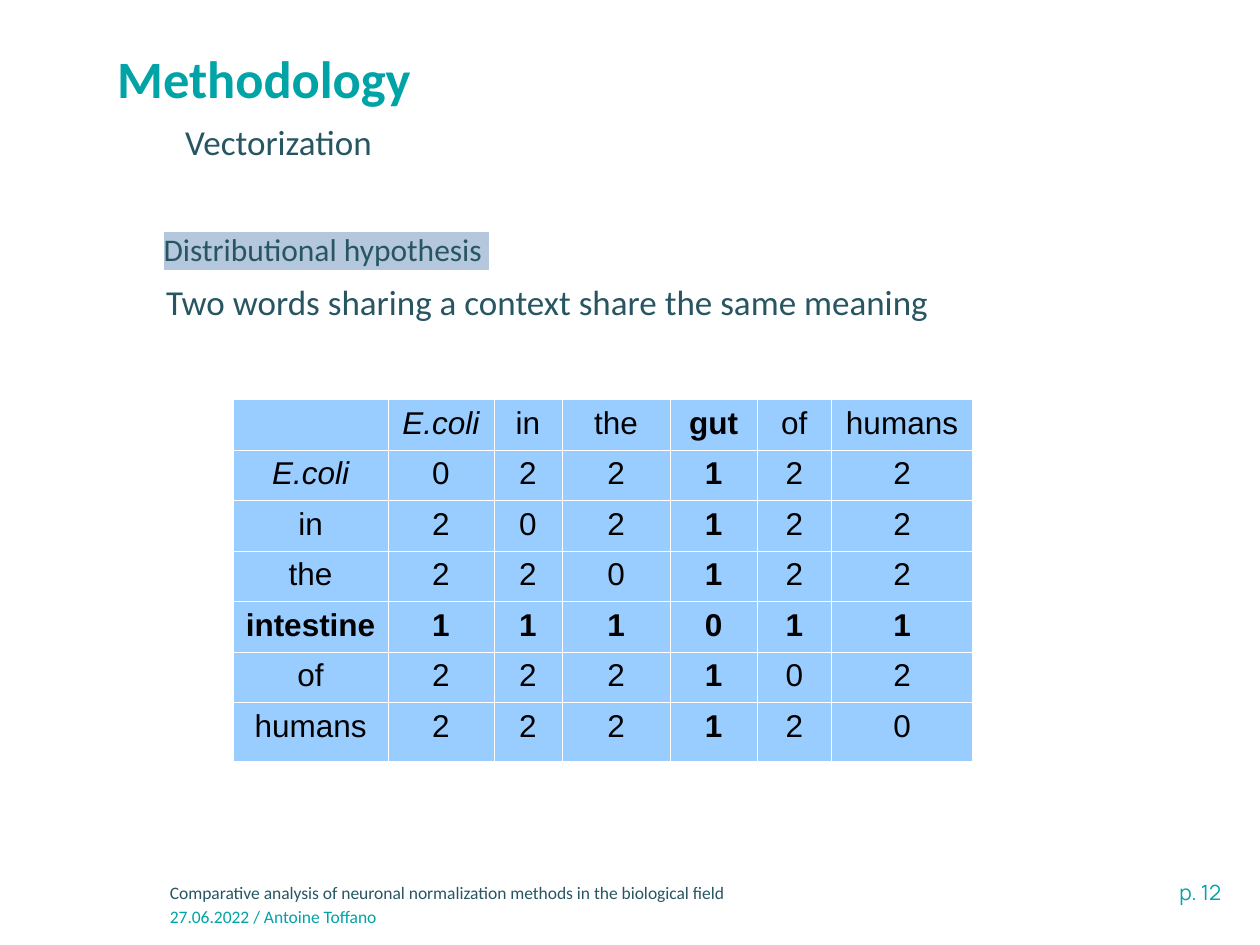
from lxml import etree
from pptx import Presentation
from pptx.dml.color import RGBColor
from pptx.enum.text import MSO_ANCHOR, PP_ALIGN
from pptx.oxml.ns import qn
from pptx.util import Inches, Pt

LEFT, CENTER, RIGHT = PP_ALIGN.LEFT, PP_ALIGN.CENTER, PP_ALIGN.RIGHT
TOP, MIDDLE = MSO_ANCHOR.TOP, MSO_ANCHOR.MIDDLE
COLORS = {"teal": "00A3A6", "slate": "275662", "mark": "B4C7DC",
          "cell": "99CCFF", "grid": "FFFFFF", "ink": "000000"}

WORDS = ["E.coli", "in", "the", "gut", "of", "humans"]
ROW_WORDS = ["intestine" if word == "gut" else word for word in WORDS]
KEY = WORDS.index("gut")
COLS = [1.23, 0.84, 0.54, 0.86, 0.69, 0.59, 1.12]
ROWS = [0.4] * 6 + [0.47]


def style(para, size, color, font="Calibri", bold=False, italic=False, align=LEFT):
    para.alignment = align
    for run in para.runs:
        run.font.size = Pt(size)
        run.font.name = font
        run.font.bold = bold
        run.font.italic = italic
        run.font.color.rgb = RGBColor.from_string(COLORS[color])


def fill_text(shape, text, size, color, anchor=TOP, **look):
    frame = shape.text_frame
    frame.text = text
    frame.word_wrap = True
    frame.vertical_anchor = anchor
    para = frame.paragraphs[0]
    style(para, size, color, **look)
    return para


def place(shape, left, top, width, height):
    shape.left, shape.top = Inches(left), Inches(top)
    shape.width, shape.height = Inches(width), Inches(height)


def add_text(slide, box, text, size, color, **look):
    shape = slide.shapes.add_textbox(*map(Inches, box))
    return fill_text(shape, text, size, color, **look)


def add_color(parent, tag, color):
    node = etree.SubElement(parent, qn(tag))
    etree.SubElement(node, qn("a:srgbClr")).set("val", COLORS[color])
    return node


def highlight(para, color):
    for run in para.runs:
        props = run.font._element
        mark = add_color(props, "a:highlight", color)
        props.find(qn("a:solidFill")).addnext(mark)


def add_heads(slide):
    title, body = slide.placeholders
    place(title, 0.93, 0.16, 8.38, 0.97)
    head = fill_text(title, "Methodology", 30, "teal", anchor=MIDDLE, bold=True)
    head.line_spacing = 0.9
    title.text_frame.margin_left = 0
    place(body, 1.37, 0.94, 7.94, 0.74)
    sub = fill_text(body, "Vectorization", 20, "slate")
    sub.line_spacing = 0.9
    sub.space_before = Pt(10)
    props = sub._p.get_or_add_pPr()
    props.set("marL", "0")
    props.set("indent", "0")
    etree.SubElement(props, qn("a:buNone"))


def paint(cell):
    """Give the cell its fill and a hairline on all four sides."""
    props = cell._tc.get_or_add_tcPr()
    for side in ("a:lnL", "a:lnR", "a:lnT", "a:lnB"):
        line = etree.SubElement(props, qn(side))
        line.set("w", str(Pt(0.06)))
        add_color(line, "a:solidFill", "grid")
    cell.fill.solid()
    cell.fill.fore_color.rgb = RGBColor.from_string(COLORS["cell"])


def count(row, col):
    """Shared contexts of two words: the key word has one, the others two."""
    if row == col:
        return 0
    return 1 if KEY in (row, col) else 2


def add_matrix(slide):
    data = [[""] + WORDS]
    for row, word in enumerate(ROW_WORDS):
        data.append([word] + [str(count(row, col)) for col in range(len(WORDS))])
    box = (1.85, 3.17, sum(COLS), sum(ROWS))
    table = slide.shapes.add_table(len(ROWS), len(COLS), *map(Inches, box)).table
    for col, width in zip(table.columns, COLS):
        col.width = Inches(width)
    for row, height in zip(table.rows, ROWS):
        row.height = Inches(height)
    table.first_row = table.horz_banding = False
    for r, line in enumerate(data):
        for c, text in enumerate(line):
            cell = table.cell(r, c)
            cell.text = text
            style(cell.text_frame.paragraphs[0], 18, "ink", font="Arial",
                  bold=KEY + 1 in (r, c), italic=text == "E.coli", align=CENTER)
            paint(cell)


def add_footer(slide):
    add_text(slide, (7.51, 6.93, 2.28, 0.33), "p. 12", 12, "teal",
             font="Manrope", align=RIGHT)
    add_text(slide, (1.25, 6.95, 7.75, 0.27),
             "Comparative analysis of neuronal normalization methods in the biological field",
             10, "slate")
    add_text(slide, (1.25, 7.14, 7.34, 0.27), "27.06.2022 / Antoine Toffano", 10, "teal")


def main():
    deck = Presentation()
    deck.slide_width, deck.slide_height = Inches(10), Inches(7.5)
    slide = deck.slides.add_slide(deck.slide_layouts[1])
    add_footer(slide)
    add_heads(slide)
    label = add_text(slide, (1.2, 1.78, 7.54, 0.42), "Distributional hypothesis ",
                     18, "slate")
    highlight(label, "mark")
    add_text(slide, (1.22, 2.18, 8.2, 0.42),
             "Two words sharing a context share the same meaning", 20, "slate")
    add_matrix(slide)
    deck.save("out.pptx")


if __name__ == "__main__":
    main()
